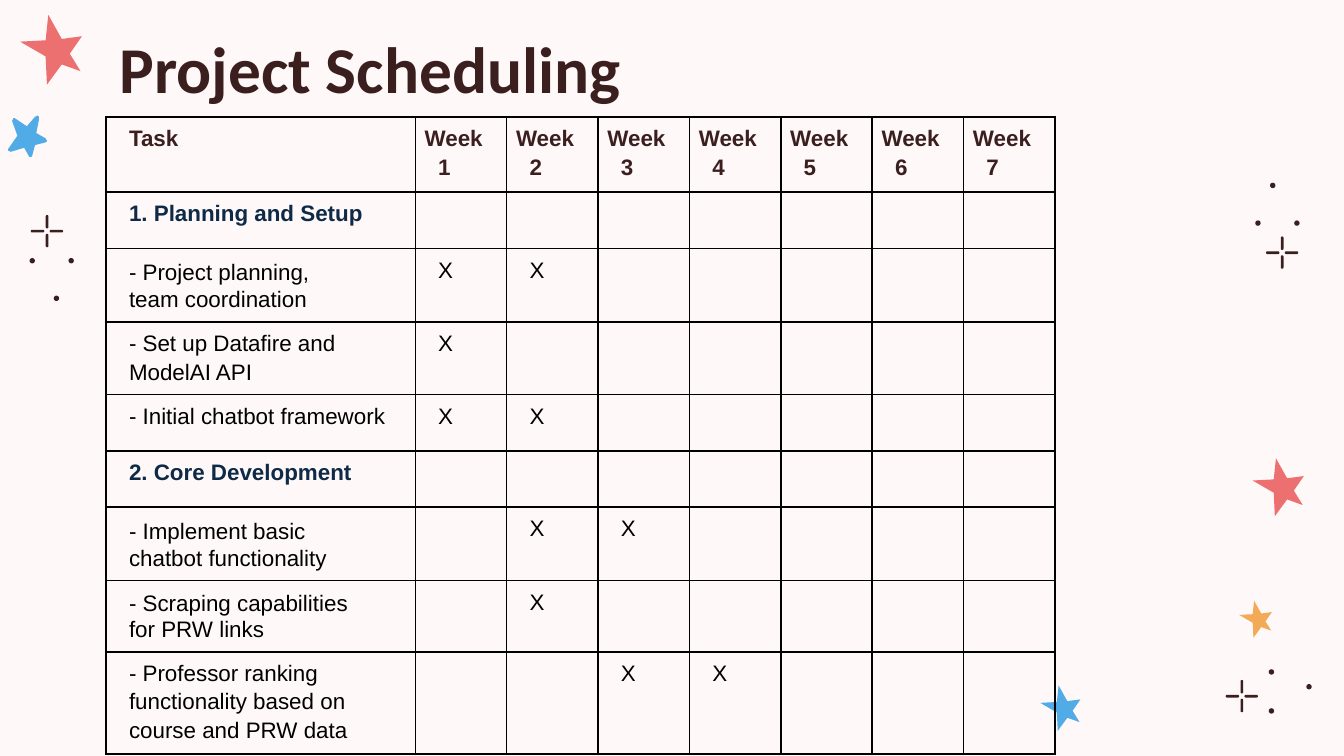
import math
from lxml import etree
from pptx import Presentation
from pptx.dml.color import RGBColor
from pptx.enum import shapes
from pptx.oxml import ns
from pptx.util import Inches, Pt

INK, NAVY, CORAL, SKY, AMBER = "3B1F1F", "0E2A47", "EC7070", "50ABE6", "F3AA56"


def rgb(value):
    return RGBColor.from_string(value)


def paint(shape, color):
    shape.shadow.inherit = False
    shape.fill.solid()
    shape.fill.fore_color.rgb = rgb(color)
    shape.line.fill.background()


deck = Presentation()
deck.slide_width = Inches(10)
deck.slide_height = deck.slide_width * 9 // 16
slide = deck.slides.add_slide(deck.slide_layouts[6])
slide.background.fill.solid()
slide.background.fill.fore_color.rgb = rgb("FFF8F8")

sharp = [(0.19, 0.31), (0, 0.2), (0.19, 0.19), (0.21, 0), (0.31, 0.18),
         (0.46, 0.16), (0.37, 0.29), (0.45, 0.42), (0.31, 0.37), (0.2, 0.52)]
rounded = [(0.29, 0.19), (0.28, 0.2), (0.2, 0.22), (0.18, 0.3), (0.17, 0.31),
           (0.16, 0.31), (0.12, 0.24), (0.02, 0.27), (0, 0.26), (0, 0.25),
           (0.07, 0.15), (0.03, 0.04), (0.04, 0.02), (0.05, 0.02), (0.14, 0.08),
           (0.2, 0.01), (0.22, 0), (0.23, 0.01), (0.23, 0.03), (0.21, 0.13), (0.28, 0.17)]
stars = [(sharp, 7.74, 5.1, 0.65, SKY), (sharp, 9.32, 3.41, 0.83, CORAL),
         (sharp, 9.22, 4.47, 0.53, AMBER), (rounded, 0.06, 0.86, 1, SKY),
         (sharp, 0.15, 0.11, 1, CORAL)]
for outline, left, top, size, color in stars:
    corners = [(Inches(left + x * size), Inches(top + y * size)) for x, y in outline]
    builder = slide.shapes.build_freeform(*corners[0])
    builder.add_line_segments(corners[1:], close=True)
    paint(builder.convert_to_shape(), color)

ray, dot = shapes.MSO_SHAPE.ROUNDED_RECTANGLE, shapes.MSO_SHAPE.OVAL
sparkle = [(ray, 0, -0.07, 0.02, 0.1), (ray, 0, 0.07, 0.02, 0.1),
           (ray, -0.07, 0, 0.1, 0.02), (ray, 0.07, 0, 0.1, 0.02),
           (dot, -0.07, -0.5, 0.04, 0.04), (dot, -0.18, -0.22, 0.04, 0.04),
           (dot, 0.11, -0.22, 0.04, 0.04)]
for center_x, center_y, turn in [(9.24, 5.18, 90), (9.54, 1.88, 0), (0.35, 1.72, 180)]:
    cos, sin = math.cos(math.radians(turn)), math.sin(math.radians(turn))
    for kind, dx, dy, width, height in sparkle:
        if turn == 90:
            width, height = height, width
        x = center_x + dx * cos - dy * sin
        y = center_y + dx * sin + dy * cos
        piece = slide.shapes.add_shape(kind, Inches(x - width / 2), Inches(y - height / 2),
                                       Inches(width), Inches(height))
        if kind == ray:
            piece.adjustments[0] = 0.5
        paint(piece, INK)

title = slide.shapes.add_textbox(Inches(0.79), Inches(0.11), Inches(8.43), Inches(0.63)).text_frame
title.word_wrap = True
title.margin_left = title.margin_right = title.margin_top = title.margin_bottom = Inches(0.1)
heading = title.paragraphs[0]
heading.text = "Project Scheduling"
heading.font.name, heading.font.size, heading.font.bold = "Calibri", Pt(35), True
heading.font.color.rgb = rgb(INK)

tasks = [
    (0.56, "Task", INK, None, ()),
    (0.42, "1. Planning and Setup", NAVY, None, ()),
    (0.54, "- Project planning, team coordination", "000000", 1.09, (1, 2)),
    (0.54, "- Set up Datafire and\nModelAI API", "000000", None, (1,)),
    (0.42, "- Initial chatbot framework", "000000", None, (1, 2)),
    (0.42, "2. Core Development", NAVY, None, ()),
    (0.54, "- Implement basic chatbot functionality", "000000", 1.09, (2, 3)),
    (0.53, "- Scraping capabilities for PRW links", "000000", 1.04, (2,)),
    (0.75, "- Professor ranking\nfunctionality based on\ncourse and PRW data", "000000", None, (3, 4)),
]
widths = [2.3] + [0.68] * 7
schedule = slide.shapes.add_table(len(tasks), len(widths), Inches(0.79), Inches(0.87),
                                  Inches(sum(widths)), Inches(sum(t[0] for t in tasks))).table
schedule.first_row = schedule.horz_banding = False
for column, width in zip(schedule.columns, widths):
    column.width = Inches(width)

for row, (height, task, color, spacing, weeks) in enumerate(tasks):
    schedule.rows[row].height = Inches(height)
    for week in range(len(widths)):
        cell = schedule.cell(row, week)
        if week == 0:
            cell.text = task
        elif row == 0:
            cell.text = f"Week\n{week}"
        elif week in weeks:
            cell.text = "X"
        cell.margin_left = cell.margin_right = cell.margin_top = Inches(0.07)
        cell.margin_bottom = Inches(0.04)
        if week == 0 and spacing:
            cell.margin_right = Inches(0.45)
        for line, paragraph in enumerate(cell.text_frame.paragraphs):
            paragraph.font.name, paragraph.font.size = "Arial", Pt(12)
            paragraph.font.bold = color != "000000"
            paragraph.font.color.rgb = rgb(color)
            if line:
                paragraph.space_before = Pt(1.8)
            if week == 0 and spacing:
                paragraph.line_spacing = spacing
            if row or week == 0 or line:
                paragraph._p.get_or_add_pPr().set("marL", str(Inches(0.1)))
        borders = cell._tc.get_or_add_tcPr()
        for side in ("a:lnL", "a:lnR", "a:lnT", "a:lnB"):
            edge = etree.SubElement(borders, ns.qn(side), w=str(Pt(1)))
            fill = etree.SubElement(edge, ns.qn("a:solidFill"))
            etree.SubElement(fill, ns.qn("a:srgbClr"), val="000000")
        cell.fill.background()

deck.save("out.pptx")
